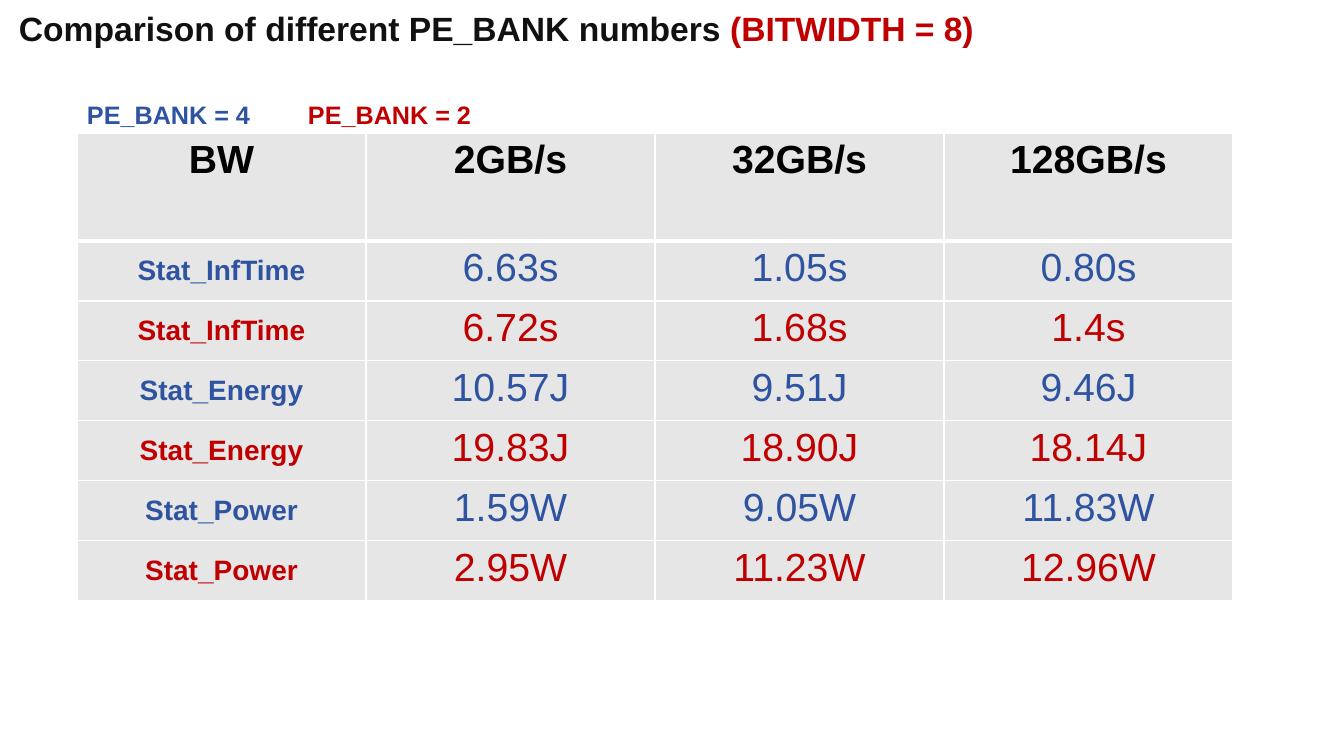
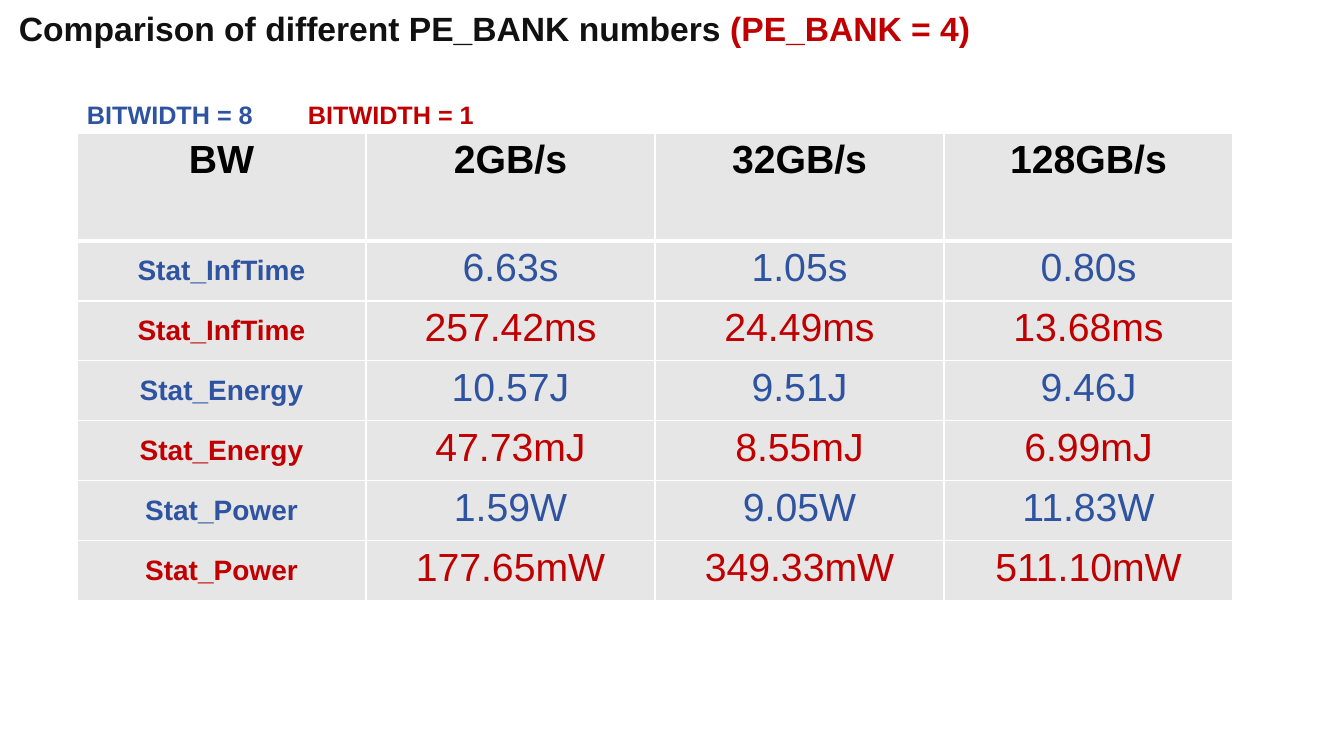
import dataclasses

import pptx
import pptx.dml.color
import pptx.enum.text
import pptx.oxml
import pptx.oxml.ns
import pptx.util

EMU_PER_PX = 914400 / 100.8


def px(length):
    return pptx.util.Emu(round(length * EMU_PER_PX))


@dataclasses.dataclass(frozen=True)
class Theme:
    font: str = "Arial"
    ink: str = "111111"
    header: str = "000000"
    blue: str = "2E54A1"
    red: str = "C00000"
    cell: str = "E7E6E6"
    rule: str = "FFFFFF"
    title_size: int = 24
    legend_size: int = 18
    label_size: int = 20
    value_size: int = 28
    thin: int = 1
    thick: int = 3


class Deck:
    def __init__(self, theme):
        self.theme = theme
        self.deck = pptx.Presentation()
        self.deck.slide_width = px(1344)
        self.deck.slide_height = px(756)
        self.page = None

    def add_page(self):
        self.page = self.deck.slides.add_slide(self.deck.slide_layouts[6])

    def span(self, para, text, size, color, bold=True):
        span = para.add_run()
        span.text = text
        formats = {"name": self.theme.font, "size": pptx.util.Pt(size), "bold": bold}
        for name, value in formats.items():
            setattr(span.font, name, value)
        span.font.color.rgb = pptx.dml.color.RGBColor.from_string(color)

    def text(self, left, top, width, height, spans, size, insets):
        box = self.page.shapes.add_textbox(px(left), px(top), px(width), px(height))
        frame = box.text_frame
        formats = {"word_wrap": True, "margin_left": px(insets[0]), "margin_top": px(insets[1])}
        for name, value in formats.items():
            setattr(frame, name, value)
        for words, color in spans:
            self.span(frame.paragraphs[0], words, size, color)

    def title(self, subject, setting):
        spans = [(f"{subject} ", self.theme.ink), (setting, self.theme.red)]
        self.text(0, 0, 1113, 66, spans, self.theme.title_size, (19, 8))

    def legend(self, blue_words, red_words):
        entries = [(77, blue_words, self.theme.blue), (298, red_words, self.theme.red)]
        for left, words, color in entries:
            self.text(left, 92, 221, 40, [(words, color)], self.theme.legend_size, (10, 7))

    def borders(self, cell, top, bottom):
        properties = cell._tc.get_or_add_tcPr()
        thin = self.theme.thin
        sides = {"lnL": thin, "lnR": thin, "lnT": top, "lnB": bottom}
        for place, (side, width) in enumerate(sides.items()):
            line = pptx.oxml.parse_xml(
                f'<a:{side} {pptx.oxml.ns.nsdecls("a")} w="{pptx.util.Pt(width)}">'
                f'<a:solidFill><a:srgbClr val="{self.theme.rule}"/></a:solidFill></a:{side}>'
            )
            properties.insert(place, line)

    def cell(self, cell, words, size, color, bold, middle):
        anchors = pptx.enum.text.MSO_ANCHOR
        cell.vertical_anchor = anchors.MIDDLE if middle else anchors.TOP
        cell.fill.solid()
        cell.fill.fore_color.rgb = pptx.dml.color.RGBColor.from_string(self.theme.cell)
        para = cell.text_frame.paragraphs[0]
        para.alignment = pptx.enum.text.PP_ALIGN.CENTER
        self.span(para, words, size, color, bold)

    def table(self, left, top, column_width, header_height, row_height, rows):
        theme = self.theme
        columns = len(rows[0])
        height = header_height + row_height * (len(rows) - 1)
        table = self.page.shapes.add_table(
            len(rows), columns, px(left), px(top), px(column_width * columns), px(height)
        ).table
        for flag in ("first_row", "horz_banding"):
            setattr(table, flag, False)
        for column in table.columns:
            column.width = px(column_width)
        for index, words in enumerate(rows):
            header = index == 0
            table.rows[index].height = px(header_height if header else row_height)
            color = theme.header if header else (theme.red, theme.blue)[index % 2]
            for place, word in enumerate(words):
                label = place == 0 and not header
                size = theme.label_size if label else theme.value_size
                cell = table.cell(index, place)
                self.cell(cell, word, size, color, header or label, label)
                self.borders(
                    cell,
                    theme.thick if index == 1 else theme.thin,
                    theme.thick if header else theme.thin,
                )

    def save(self):
        self.deck.save("out.pptx")


SUBJECT = "Comparison of different PE_BANK numbers"
HEADER = ("BW", "2GB/s", "32GB/s", "128GB/s")
LABELS = ("Stat_InfTime", "Stat_Energy", "Stat_Power")
BASELINE = (
    ("6.63s", "1.05s", "0.80s"),
    ("10.57J", "9.51J", "9.46J"),
    ("1.59W", "9.05W", "11.83W"),
)
COMPARISONS = (
    {
        "setting": "(BITWIDTH = 8)",
        "legend": ("PE_BANK = 4", "PE_BANK = 2"),
        "variant": (
            ("6.72s", "1.68s", "1.4s"),
            ("19.83J", "18.90J", "18.14J"),
            ("2.95W", "11.23W", "12.96W"),
        ),
    },
    {
        "setting": "(PE_BANK = 4)",
        "legend": ("BITWIDTH = 8", "BITWIDTH = 1"),
        "variant": (
            ("257.42ms", "24.49ms", "13.68ms"),
            ("47.73mJ", "8.55mJ", "6.99mJ"),
            ("177.65mW", "349.33mW", "511.10mW"),
        ),
    },
)


def main():
    deck = Deck(Theme())
    for comparison in COMPARISONS:
        rows = [HEADER]
        for label, baseline, variant in zip(LABELS, BASELINE, comparison["variant"]):
            rows += [(label, *baseline), (label, *variant)]
        deck.add_page()
        deck.title(SUBJECT, comparison["setting"])
        deck.table(77, 133, 289, 108, 60, rows)
        deck.legend(*comparison["legend"])
    deck.save()


if __name__ == "__main__":
    main()
